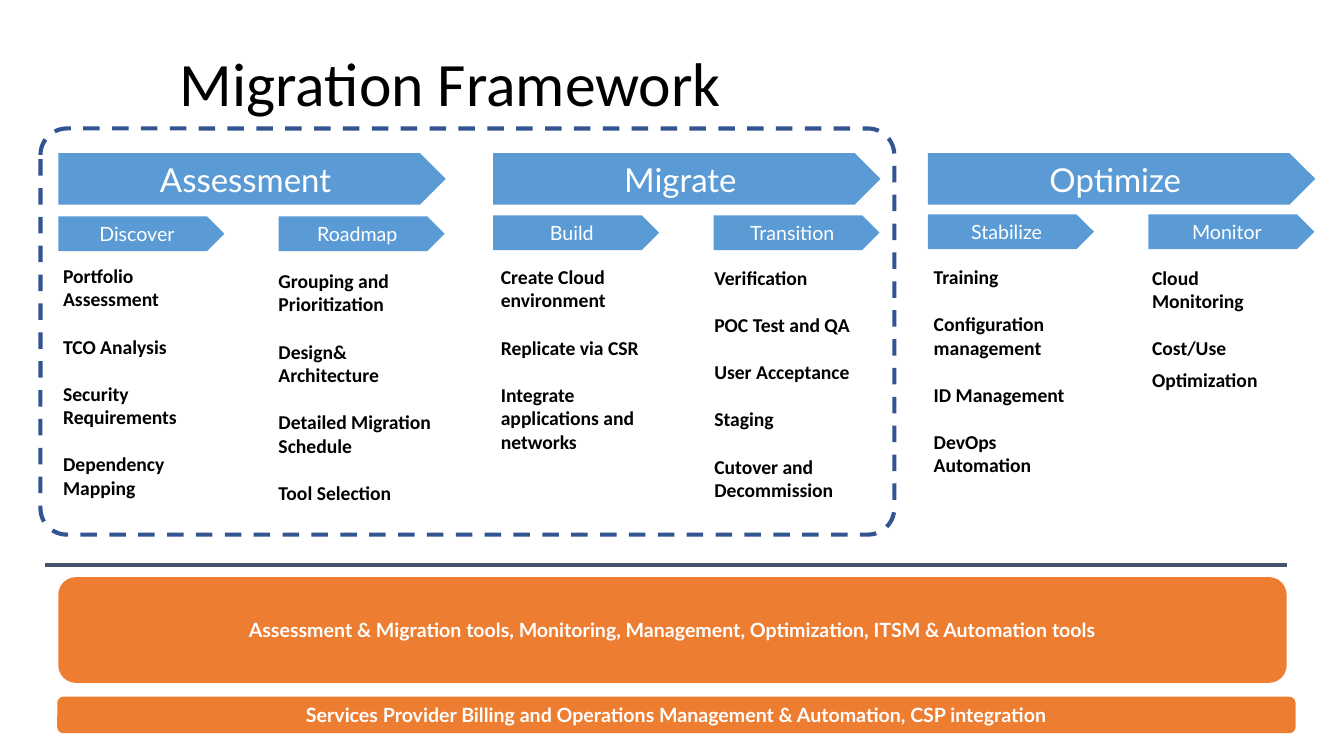
from dataclasses import dataclass

import pptx
import pptx.dml.color
import pptx.enum.dml
import pptx.enum.shapes
import pptx.enum.text
import pptx.oxml
import pptx.util

SHAPE = pptx.enum.shapes.MSO_SHAPE
ALIGN = pptx.enum.text.PP_ALIGN
ANCHOR = pptx.enum.text.MSO_ANCHOR
AUTOSIZE = pptx.enum.text.MSO_AUTO_SIZE
DASH = pptx.enum.dml.MSO_LINE
Pt = pptx.util.Pt
PX = 9144


@dataclass(frozen=True)
class Theme:
    blue: str = "5B9BD5"
    orange: str = "ED7D31"
    frame: str = "325491"
    rule: str = "44546A"
    white: str = "FFFFFF"
    black: str = "000000"
    head_font: str = "Lato"
    body_font: str = "Calibri"
    title_size: float = 44.9
    stage_size: float = 24
    text_size: float = 14.3
    note_gap: float = 17.2


THEME = Theme()

STAGES = [
    ("Assessment", ["Discover", "Roadmap"]),
    ("Migrate", ["Build", "Transition"]),
    ("Optimize", ["Stabilize", "Monitor"]),
]

NOTES = [
    ((54, 262, 179, 298), ["Portfolio Assessment", "TCO Analysis",
                           "Security Requirements", "Dependency Mapping"]),
    ((272, 267, 186, 298), ["Grouping and Prioritization", "Design& Architecture",
                            "Detailed Migration Schedule", "Tool Selection"]),
    ((497, 263, 193, 206), ["Create Cloud environment", "Replicate via CSR",
                            "Integrate applications and networks"]),
    ((713, 264, 192, 255), ["Verification", "POC Test and QA", "User Acceptance",
                            "Staging", "Cutover and Decommission"]),
    ((935, 263, 155, 255), ["Training", "Configuration management",
                            "ID Management", "DevOps Automation"]),
    ((1156, 264, 155, 168), ["Cloud Monitoring", "Cost/Use Optimization"]),
]

BARS = [
    ((59, 584, 1243, 107), "Assessment & Migration tools, Monitoring, Management, "
                           "Optimization, ITSM & Automation tools"),
    ((58, 705, 1253, 37), "Services Provider Billing and Operations Management "
                          "& Automation, CSP integration"),
]


def emu(box):
    return [n * PX for n in box]


def rgb(color):
    return pptx.dml.color.RGBColor.from_string(color)


def apply(obj, **values):
    for name, value in values.items():
        setattr(obj, name, value)


def write(p, text, color, **font):
    r = p.add_run()
    r.text = text
    apply(r.font, **font)
    r.font.color.rgb = rgb(color)


def add_title(s, text, box):
    sp = s.shapes.title
    left, top, width, height = emu(box)
    apply(sp, left=left, top=top, width=width, height=height)
    tf = sp.text_frame
    apply(tf, vertical_anchor=ANCHOR.MIDDLE, auto_size=AUTOSIZE.NONE)
    p = tf.paragraphs[0]
    apply(p, alignment=ALIGN.LEFT, line_spacing=0.9)
    write(p, text, THEME.black, name=THEME.body_font, size=Pt(THEME.title_size))


def add_block(s, kind, box, fill, text, size, bold=False):
    sp = s.shapes.add_shape(kind, *emu(box))
    sp.shadow.inherit = False
    sp.fill.solid()
    sp.fill.fore_color.rgb = rgb(fill)
    sp.line.fill.background()
    tf = sp.text_frame
    apply(tf, vertical_anchor=ANCHOR.MIDDLE, word_wrap=True)
    p = tf.paragraphs[0]
    p.alignment = ALIGN.CENTER
    write(p, text, THEME.white, name=THEME.head_font, size=Pt(size), bold=bold)


def add_notes(s, box, items):
    tf = s.shapes.add_textbox(*emu(box)).text_frame
    apply(tf, word_wrap=True, auto_size=AUTOSIZE.SHAPE_TO_FIT_TEXT)
    for i, item in enumerate(items):
        p = tf.add_paragraph() if i else tf.paragraphs[0]
        if i:
            p.space_before = Pt(THEME.note_gap)
        write(p, item, THEME.black, name=THEME.body_font,
              size=Pt(THEME.text_size), bold=True)
    return tf


def style_line(line, color, **values):
    line.color.rgb = rgb(color)
    apply(line, width=Pt(3), **values)


def add_rule(s, left, right, y):
    ends = emu((left, y, right, y))
    sp = s.shapes.add_connector(pptx.enum.shapes.MSO_CONNECTOR.STRAIGHT, *ends)
    style_line(sp.line, THEME.rule)
    sp._element.spPr.append(pptx.oxml.parse_xml(
        '<a:effectLst xmlns:a="http://schemas.openxmlformats.org/drawingml/2006/main"/>'))


def add_frame(s, box):
    sp = s.shapes.add_shape(SHAPE.ROUNDED_RECTANGLE, *emu(box))
    sp.adjustments[0] = 0.065
    sp.shadow.inherit = False
    sp.fill.background()
    style_line(sp.line, THEME.frame, dash_style=DASH.DASH)


def main():
    prs = pptx.Presentation()
    apply(prs, slide_width=1360 * PX, slide_height=765 * PX)
    s = prs.slides.add_slide(prs.slide_layouts[5])
    add_title(s, "Migration Framework", (172, 14, 1173, 148))
    for i, (stage, steps) in enumerate(STAGES):
        left = 59 + 440 * i
        add_block(s, SHAPE.PENTAGON, (left, 155, 392, 52), THEME.blue,
                  stage, THEME.stage_size)
        for j, step in enumerate(steps):
            add_block(s, SHAPE.PENTAGON, (left + 223 * j, 219 - i, 168, 35),
                      THEME.blue, step, THEME.text_size)
    for box, items in NOTES:
        tf = add_notes(s, box, items)
    apply(tf.paragraphs[-1], line_spacing=1.35, space_before=Pt(11))
    add_rule(s, 46, 1302, 572)
    add_frame(s, (41, 130, 864, 411))
    for box, text in BARS:
        add_block(s, SHAPE.ROUNDED_RECTANGLE, box, THEME.orange, text,
                  THEME.text_size, bold=True)
    prs.save("out.pptx")


if __name__ == "__main__":
    main()
